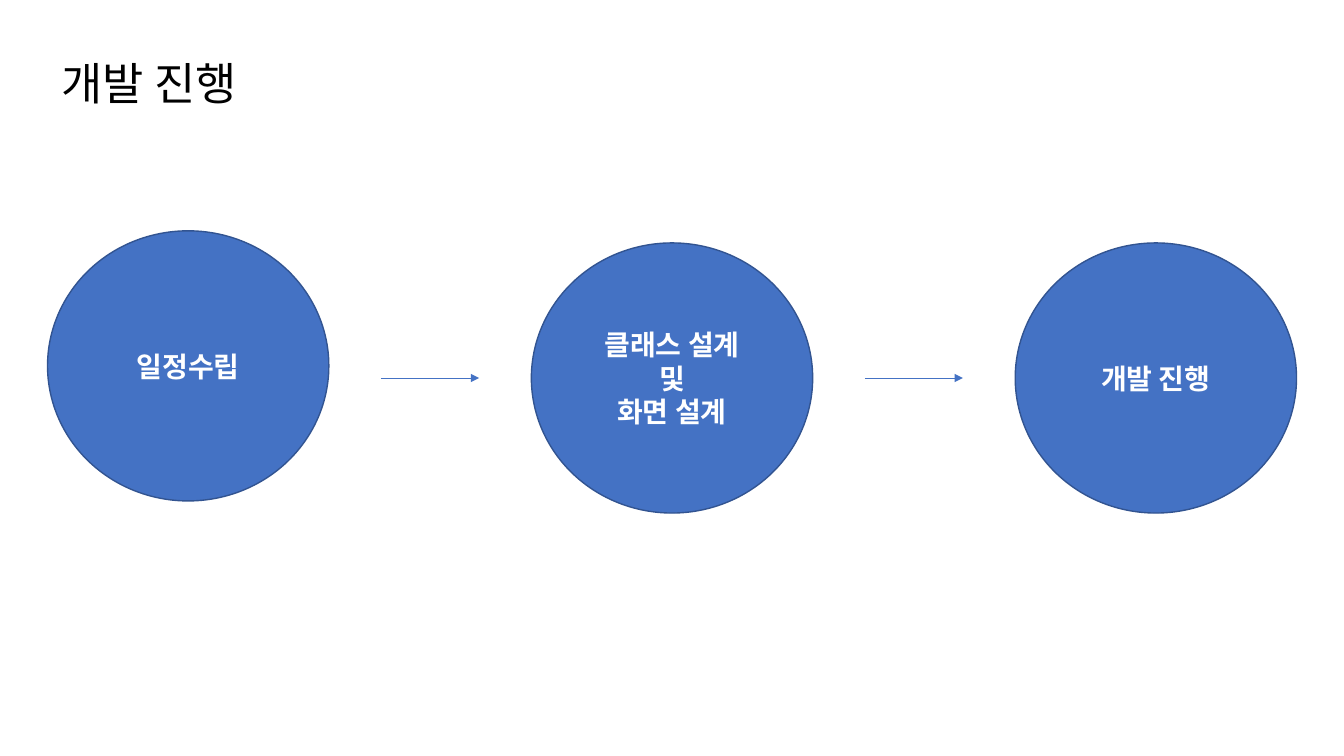
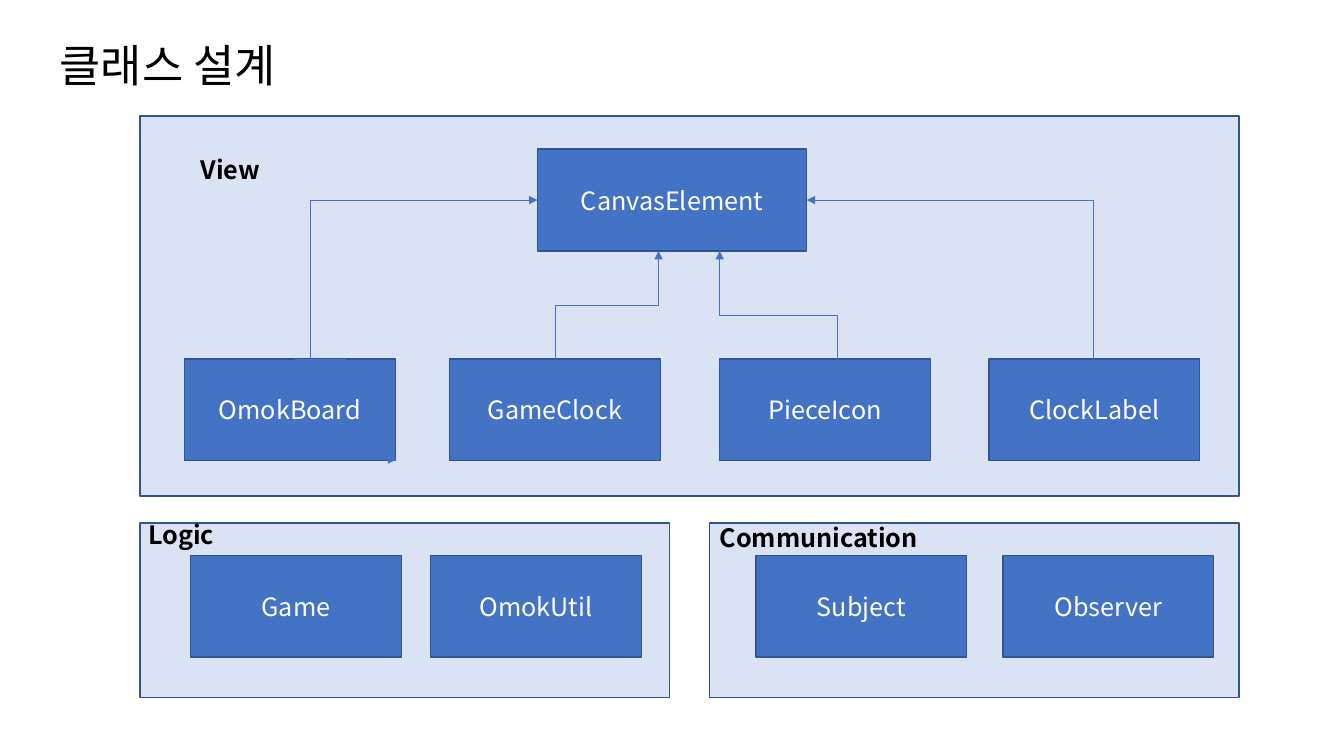
"""Build two slides: the development steps and the class design."""
from dataclasses import dataclass
from typing import Any, NamedTuple

from lxml.etree import SubElement
from pptx import Presentation
from pptx.dml.color import RGBColor
from pptx.enum.shapes import MSO_CONNECTOR, MSO_SHAPE
from pptx.enum.text import MSO_ANCHOR, MSO_AUTO_SIZE, PP_ALIGN
from pptx.oxml.ns import qn
from pptx.util import Emu, Inches, Pt

SLIDE_WIDTH, SLIDE_HEIGHT = Inches(13.33), Inches(7.5)
TITLE_ONLY = 5


@dataclass(frozen=True)
class Theme:
    """Colours, font and type sizes of the presentation."""

    font: str = "Noto Sans CJK KR"
    accent: RGBColor = RGBColor(0x44, 0x72, 0xC4)
    outline: RGBColor = RGBColor(0x32, 0x54, 0x91)
    panel: RGBColor = RGBColor(0xDA, 0xE3, 0xF3)
    light: RGBColor = RGBColor(0xFF, 0xFF, 0xFF)
    dark: RGBColor = RGBColor(0, 0, 0)
    title_size: Pt = Pt(32)
    step_size: Pt = Pt(20)
    body_size: Pt = Pt(18)
    outline_width: Pt = Pt(1)
    arrow_width: Pt = Pt(0.5)


THEME = Theme()


class Point(NamedTuple):
    """A place in percent of the slide's width and height."""

    x: float
    y: float

    def lengths(self) -> tuple[Emu, Emu]:
        """Return the place in slide units."""
        return Emu(int(SLIDE_WIDTH * self.x / 100)), Emu(int(SLIDE_HEIGHT * self.y / 100))


class Area(NamedTuple):
    """A rectangle in percent of the slide's width and height."""

    left: float
    top: float
    width: float
    height: float

    def lengths(self) -> tuple[Emu, ...]:
        """Return left, top, width and height in slide units."""
        return Point(self.left, self.top).lengths() + Point(self.width, self.height).lengths()


class Block(NamedTuple):
    """A piece of text and the area it fills."""

    text: str
    area: Area


class Elbow(NamedTuple):
    """A bent arrow that leaves upwards, with one or two bends."""

    start: Point
    end: Point
    preset: str


ONE_BEND, TWO_BENDS = "bentConnector2", "bentConnector3"

TITLE_FORMAT = {"size": THEME.title_size, "bold": False, "color": THEME.dark}
STEP_FORMAT = {"size": THEME.step_size, "bold": True, "color": THEME.light}
CLASS_FORMAT = {"size": THEME.body_size, "bold": False, "color": THEME.light}
LABEL_FORMAT = {"size": THEME.body_size, "bold": True, "color": THEME.dark}

STEP_WIDTH, STEP_HEIGHT, STEP_PITCH = 20.93, 35.73, 36
STEPS = (("일정수립", 30.53), ("클래스 설계\n및\n화면 설계", 32.13), ("개발 진행", 32.13))
ARROW_LEFT, ARROW_LENGTH = 28.35, 7.3

PANELS = (
    Area(10.43, 69.2, 39.38, 23.07),
    Area(10.43, 15.33, 81.75, 50.27),
    Area(52.8, 69.2, 39.38, 23.07),
)
CLASS_WIDTH, CLASS_HEIGHT = 15.68, 13.47
VIEW_TOP, LOWER_TOP = 47.47, 73.47
CANVAS = Area(40, 19.73, 20.03, CLASS_HEIGHT)
CANVAS_MIDDLE = CANVAS.top + CANVAS.height / 2
CANVAS_BOTTOM = CANVAS.top + CANVAS.height
CLASSES = (
    ("OmokBoard", 13.73, VIEW_TOP),
    ("GameClock", 33.45, VIEW_TOP),
    ("PieceIcon", 53.55, VIEW_TOP),
    ("ClockLabel", 73.58, VIEW_TOP),
    ("Game", 14.18, LOWER_TOP),
    ("OmokUtil", 32.03, LOWER_TOP),
    ("Subject", 56.25, LOWER_TOP),
    ("Observer", 74.63, LOWER_TOP),
)
BOARD_ARROW = (Point(21.98, VIEW_TOP), Point(29.48, 60.8))
ELBOWS = (
    Elbow(Point(23.1, VIEW_TOP), Point(CANVAS.left, CANVAS_MIDDLE), ONE_BEND),
    Elbow(Point(41.33, VIEW_TOP), Point(49, CANVAS_BOTTOM), TWO_BENDS),
    Elbow(Point(62.33, 50.13), Point(53.55, CANVAS_BOTTOM), TWO_BENDS),
    Elbow(Point(81.38, VIEW_TOP), Point(CANVAS.left + CANVAS.width, CANVAS_MIDDLE), ONE_BEND),
)
LABELS = (
    Block("View", Area(14.18, 19.73, 10.73, 5.33)),
    Block("Logic", Area(10.28, 68, 10.73, 5.33)),
    Block("Communication", Area(52.8, 68.4, 21.9, 5.33)),
)


def apply(target: Any, values: dict[str, Any]) -> None:
    """Set each named attribute of the target."""
    for name, value in values.items():
        setattr(target, name, value)


def write(shape: Any, text: str, style: dict[str, Any], alignment: PP_ALIGN) -> None:
    """Fill a shape with formatted text, one paragraph a line."""
    frame = shape.text_frame
    frame.text = text
    apply(frame, {
        "word_wrap": True,
        "auto_size": MSO_AUTO_SIZE.NONE,
        "vertical_anchor": MSO_ANCHOR.MIDDLE,
    })
    for paragraph in frame.paragraphs:
        apply(paragraph, {"alignment": alignment, "line_spacing": 1.0})
        for run in paragraph.runs:
            apply(run.font, {"name": THEME.font, "size": style["size"], "bold": style["bold"]})
            run.font.color.rgb = style["color"]
            SubElement(run.font._element, qn("a:ea"), typeface=THEME.font)


def add_title(slide: Any, block: Block) -> None:
    """Move and format the title placeholder."""
    title = slide.shapes.title
    apply(title, dict(zip(("left", "top", "width", "height"), block.area.lengths())))
    write(title, block.text, TITLE_FORMAT, PP_ALIGN.LEFT)


def add_figure(slide: Any, preset: MSO_SHAPE, area: Area, fill: RGBColor) -> Any:
    """Draw an outlined preset shape."""
    shape = slide.shapes.add_shape(preset, *area.lengths())
    shape.shadow.inherit = False
    shape.fill.solid()
    shape.fill.fore_color.rgb = fill
    shape.line.color.rgb = THEME.outline
    shape.line.width = THEME.outline_width
    return shape


def add_class(slide: Any, block: Block) -> None:
    """Draw a class box with its name."""
    shape = add_figure(slide, MSO_SHAPE.RECTANGLE, block.area, THEME.accent)
    write(shape, block.text, CLASS_FORMAT, PP_ALIGN.CENTER)


def add_label(slide: Any, block: Block) -> None:
    """Write the name of a panel."""
    shape = slide.shapes.add_textbox(*block.area.lengths())
    write(shape, block.text, LABEL_FORMAT, PP_ALIGN.LEFT)


def add_arrow(slide: Any, kind: MSO_CONNECTOR, ends: tuple[Emu, ...]) -> Any:
    """Draw a thin connector with a triangular head."""
    connector = slide.shapes.add_connector(kind, *ends)
    connector.line.color.rgb = THEME.accent
    connector.line.width = THEME.arrow_width
    properties = connector._element.spPr
    SubElement(properties.find(qn("a:ln")), qn("a:tailEnd"), type="triangle")
    SubElement(properties, qn("a:effectLst"))
    return connector


def add_elbow(slide: Any, elbow: Elbow) -> None:
    """Draw a bent arrow as a horizontal one turned to point upwards."""
    start_x, start_y = elbow.start.lengths()
    end_x, end_y = elbow.end.lengths()
    middle_x, middle_y = (start_x + end_x) // 2, (start_y + end_y) // 2
    half_rise, half_run = (start_y - end_y) // 2, (end_x - start_x) // 2
    ends = (middle_x - half_rise, middle_y - half_run, middle_x + half_rise, middle_y + half_run)
    connector = add_arrow(slide, MSO_CONNECTOR.ELBOW, ends)
    properties = connector._element.spPr
    properties.find(qn("a:xfrm")).set("rot", str(270 * 60000))
    properties.find(qn("a:prstGeom")).set("prst", elbow.preset)


def build_steps(slide: Any) -> None:
    """Draw the three development steps and the arrows between them."""
    add_title(slide, Block("개발 진행", Area(3.83, 6.67, 26.25, 8.53)))
    first_left = (100 - STEP_WIDTH) / 2 - STEP_PITCH
    for index, (text, top) in enumerate(STEPS):
        area = Area(first_left + index * STEP_PITCH, top, STEP_WIDTH, STEP_HEIGHT)
        circle = add_figure(slide, MSO_SHAPE.OVAL, area, THEME.accent)
        write(circle, text, STEP_FORMAT, PP_ALIGN.CENTER)
    for index in range(len(STEPS) - 1):
        start = Point(ARROW_LEFT + index * STEP_PITCH, 50)
        end = Point(start.x + ARROW_LENGTH, 50)
        add_arrow(slide, MSO_CONNECTOR.STRAIGHT, start.lengths() + end.lengths())


def build_classes(slide: Any) -> None:
    """Draw the panels, the classes in them and their inheritance."""
    add_title(slide, Block("클래스 설계", Area(3.68, 4.27, 26.25, 8.53)))
    for panel in PANELS:
        add_figure(slide, MSO_SHAPE.RECTANGLE, panel, THEME.panel)
    add_class(slide, Block("CanvasElement", CANVAS))
    for name, left, top in CLASSES:
        add_class(slide, Block(name, Area(left, top, CLASS_WIDTH, CLASS_HEIGHT)))
    start, end = BOARD_ARROW
    add_arrow(slide, MSO_CONNECTOR.ELBOW, start.lengths() + end.lengths())
    for elbow in ELBOWS:
        add_elbow(slide, elbow)
    for label in LABELS:
        add_label(slide, label)


def main() -> None:
    """Build and save the presentation."""
    presentation = Presentation()
    apply(presentation, {"slide_width": SLIDE_WIDTH, "slide_height": SLIDE_HEIGHT})
    for build in (build_steps, build_classes):
        build(presentation.slides.add_slide(presentation.slide_layouts[TITLE_ONLY]))
    presentation.save("out.pptx")


main()
